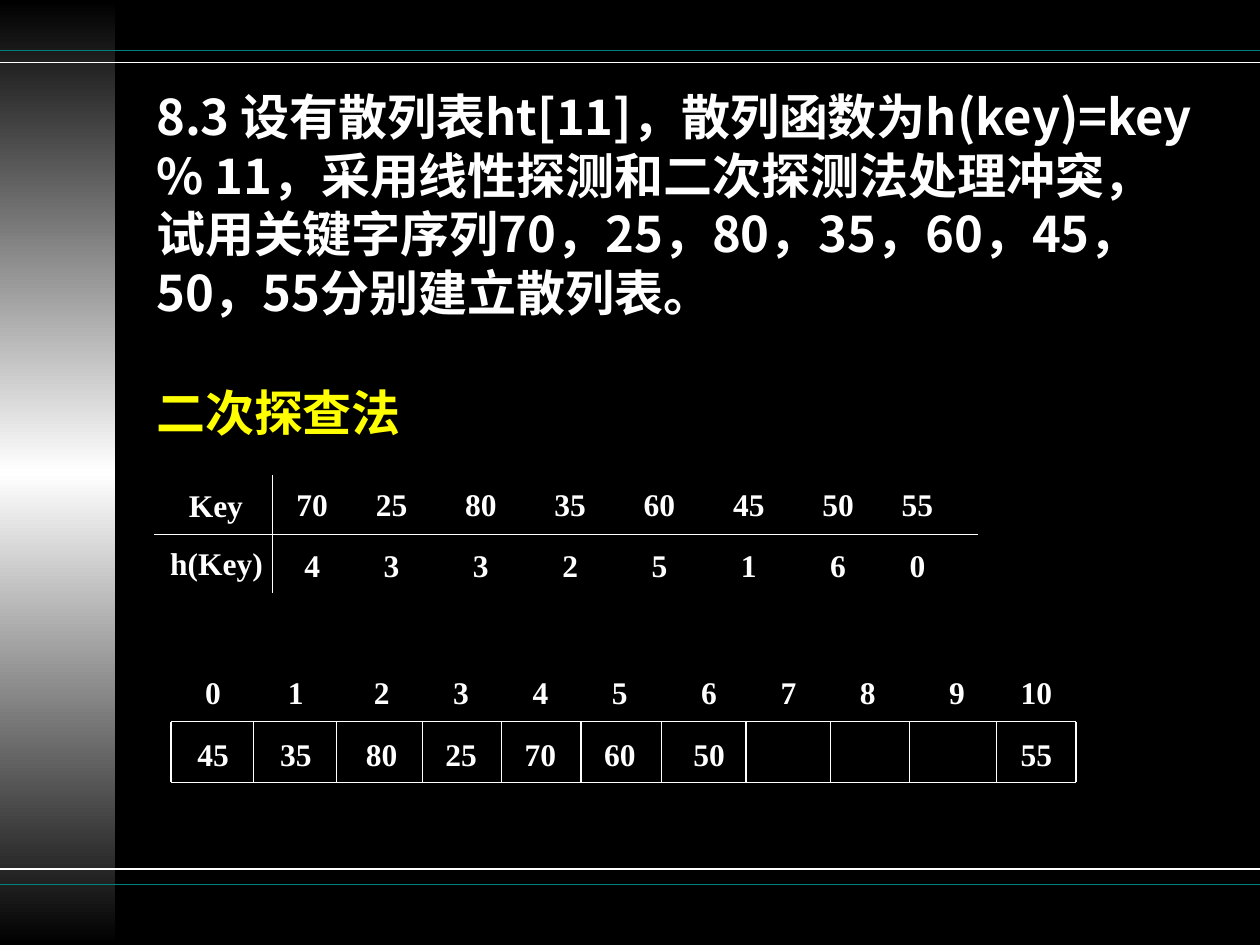
"""Build the slide on quadratic probing in a hash table."""
import copy

import pptx
import pptx.dml.color
import pptx.enum.shapes
import pptx.enum.text
import pptx.oxml.ns
import pptx.oxml.xmlchemy
import pptx.util

Cm = pptx.util.Cm
Pt = pptx.util.Pt
ALIGN = pptx.enum.text.PP_ALIGN
ANCHOR = pptx.enum.text.MSO_ANCHOR
rgb = pptx.dml.color.RGBColor.from_string
qn = pptx.oxml.ns.qn
new_element = pptx.oxml.xmlchemy.OxmlElement

WHITE = "FFFFFF"
SERIF = "Times New Roman"
SANS = "Noto Sans CJK SC"

presentation = pptx.Presentation()
presentation.slide_width = Cm(25.4)
presentation.slide_height = Cm(19.05)
slide = presentation.slides.add_slide(presentation.slide_layouts[6])
slide.background.fill.solid()
slide.background.fill.fore_color.rgb = rgb("000000")


def add_line(x1, y1, x2, y2, color=WHITE, width=0.75):
    connector = slide.shapes.add_connector(
        pptx.enum.shapes.MSO_CONNECTOR.STRAIGHT, Cm(x1), Cm(y1), Cm(x2), Cm(y2))
    connector.line.color.rgb = rgb(color)
    connector.line.width = Pt(width)
    connector.element.spPr.append(new_element("a:effectLst"))


def add_text(text, left, top, width, height, align=ALIGN.CENTER, size=18, font=SERIF,
             color=WHITE, insets=(0, 0), anchor=ANCHOR.TOP, spacing=None):
    shape = slide.shapes.add_textbox(Cm(left), Cm(top), Cm(width), Cm(height))
    frame = shape.text_frame
    frame.word_wrap = True
    frame.vertical_anchor = anchor
    frame.margin_left = frame.margin_right = Cm(insets[0])
    frame.margin_top = Cm(insets[1])
    frame.margin_bottom = Cm(insets[0] / 2)
    paragraph = frame.paragraphs[0]
    paragraph.alignment = align
    if spacing:
        paragraph.line_spacing = Pt(spacing)
    run = paragraph.add_run()
    run.text = text
    run.font.size = Pt(size)
    run.font.bold = True
    run.font.name = font
    run.font.color.rgb = rgb(color)
    east_asian = new_element("a:ea")
    east_asian.set("typeface", SANS)
    shape.element.find(".//" + qn("a:latin")).addnext(east_asian)


sidebar = slide.shapes.add_shape(
    pptx.enum.shapes.MSO_SHAPE.RECTANGLE, 0, 0, Cm(2.33), Cm(19.05))
sidebar.shadow.inherit = False
sidebar.line.fill.background()
sidebar.fill.gradient()
sidebar.fill.gradient_angle = 90
stop_list = sidebar.element.spPr.find(".//" + qn("a:gsLst"))
stop_list.append(copy.deepcopy(stop_list[0]))
for stop, position, color in zip(
        sidebar.fill.gradient_stops, (0, 0.5, 1), ("000000", WHITE, "000000")):
    stop.position = position
    stop.color.rgb = rgb(color)

for y, color in ((1.02, "008080"), (1.26, WHITE), (17.52, WHITE), (17.83, "008080")):
    add_line(0, y, 25.4, y, color, 1)

add_text("8.3 设有散列表ht[11]，散列函数为h(key)=key % 11，采用线性探测和二次探测法处理冲突，"
         "试用关键字序列70，25，80，35，60，45，50，55分别建立散列表。",
         2.9, 1.7, 21.54, 4.62, ALIGN.LEFT, 28, SANS, WHITE, (0.25, 0.33),
         ANCHOR.MIDDLE, 33.5)
add_text("二次探查法", 2.9, 7.52, 16.79, 1.45, ALIGN.LEFT, 28, SERIF, "FFFF00",
         (0.25, 0.2), spacing=33.5)

add_line(3.1, 10.77, 19.71, 10.77)
add_line(5.49, 9.58, 5.49, 11.96)
add_text("Key", 3.1, 9.8, 1.8, 0.76, ALIGN.RIGHT)
add_text("h(Key)", 3.1, 10.97, 2.2, 0.76, ALIGN.RIGHT)
keys = (70, 25, 80, 35, 60, 45, 50, 55)
key_lefts = (5.89, 7.49, 9.29, 11.09, 12.89, 14.69, 16.49, 18.09)
for key, left in zip(keys, key_lefts):
    add_text(str(key), left, 9.78, 0.81, 0.76)
    add_text(str(key % 11), left, 11, 0.81, 0.76)

slots = (45, 35, 80, 25, 70, 60, 50, None, None, None, 55)
slot_lefts = (3.89, 5.56, 7.29, 8.89, 10.49, 12.09, 13.89, 15.49, 17.09, 18.89, 20.49)
slot_borders = (3.45, 5.11, 6.78, 8.51, 10.11, 11.71, 13.34, 15.04, 16.74, 18.34,
                20.09, 21.69)
for index, (key, left) in enumerate(zip(slots, slot_lefts)):
    add_text(str(index), left, 13.56, 0.81, 0.76)
    if key is not None:
        add_text(str(key), left, 14.81, 0.81, 0.76)
for y in (14.55, 15.77):
    add_line(slot_borders[0], y, slot_borders[-1], y)
for x in slot_borders:
    add_line(x, 14.55, x, 15.77)

presentation.save("out.pptx")
